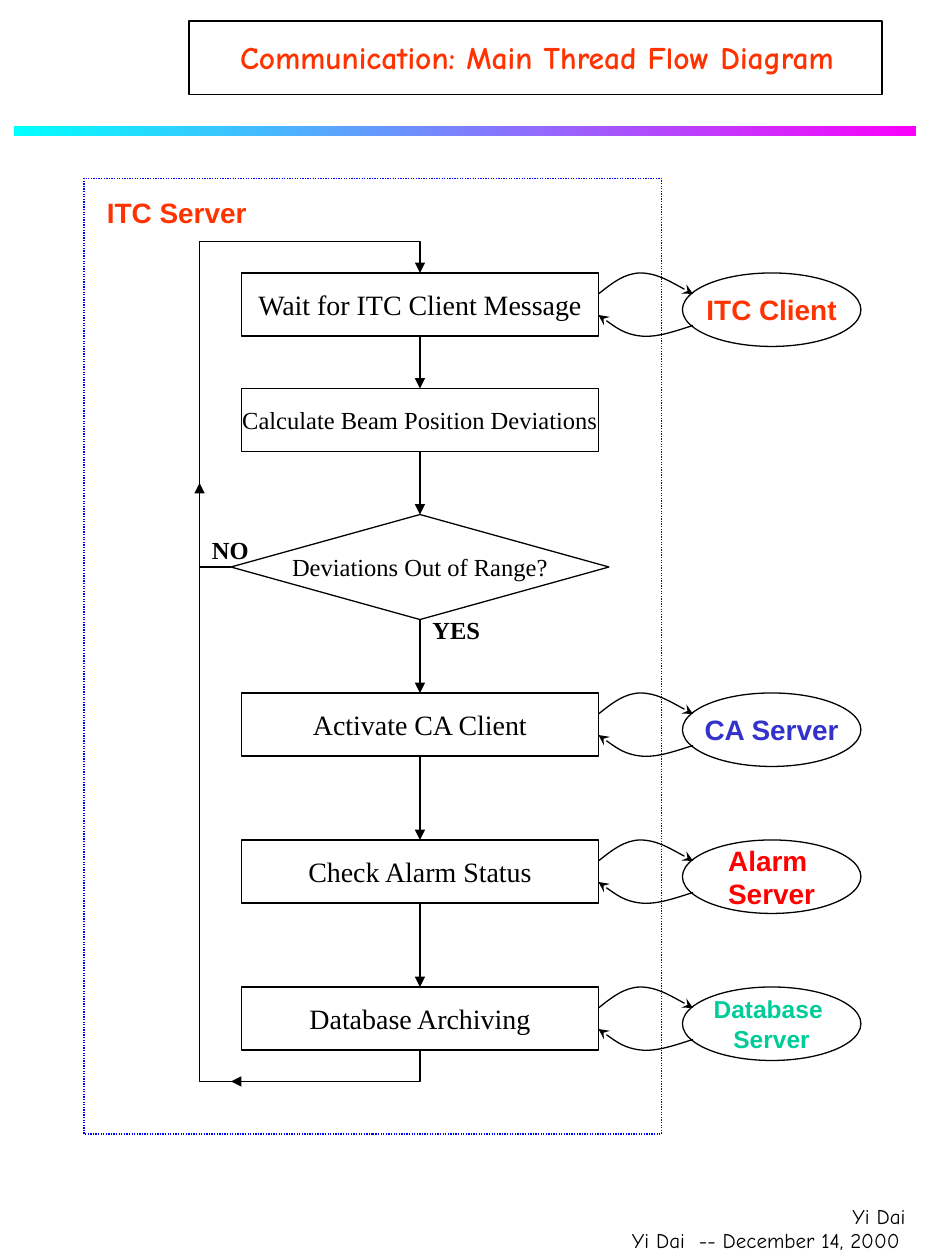
import lxml.etree
import pptx
import pptx.dml.color
import pptx.enum.dml
import pptx.enum.shapes
import pptx.enum.text
import pptx.oxml.ns
import pptx.util

Pt = pptx.util.Pt
qn = pptx.oxml.ns.qn
SHAPES = pptx.enum.shapes.MSO_SHAPE
ALIGN = pptx.enum.text.PP_ALIGN
ANCHOR = pptx.enum.text.MSO_ANCHOR

SERIF, SANS, COMIC = "Times New Roman", "Arial", "Comic Neue"
BLACK, ORANGE = "000000", "FF3300"
STEP_LEFT, STEP_WIDTH, STEP_HEIGHT = 138, 204, 36
STEP_RIGHT = STEP_LEFT + STEP_WIDTH
CENTER = STEP_LEFT + STEP_WIDTH / 2
LOOP_LEFT, LOOP_TOP, LOOP_BOTTOM = 114, 138, 618

# Offsets from the top right corner of a step: end points and Bezier controls
REQUEST = [(0, 12), (7.5, 6), (15, 0), (24, 0), (33, 0), (43, 6), (54, 12)]
REPLY = [(0, 24), (7.5, 29.5), (15, 35), (24, 36), (33, 37), (43, 33.5), (54, 30)]

# top, text, text size
STEPS = [
    (156, "Wait for ITC Client Message", 16),
    (222, "Calculate Beam Position Deviations", 14),
    (396, "Activate CA Client", 16),
    (480, "Check Alarm Status", 16),
    (564, "Database Archiving", 16),
]
# top, text, text size, colour
PARTNERS = [
    (156, "ITC Client", 16, ORANGE),
    (396, "CA Server", 16, "3333CC"),
    (480, "Alarm \nServer", 16, "FF0000"),
    (564, "Database \nServer", 14, "00CC99"),
]


def rgb(value):
    return pptx.dml.color.RGBColor.from_string(value)


def write(shape, text, size, font=SERIF, color=BLACK, bold=False,
          align=ALIGN.LEFT, anchor=ANCHOR.TOP, wrap=False):
    frame = shape.text_frame
    frame.text = text
    frame.word_wrap = wrap
    frame.vertical_anchor = anchor
    frame.margin_left = frame.margin_right = Pt(7.2)
    frame.margin_top = frame.margin_bottom = Pt(3.6)
    for paragraph in frame.paragraphs:
        paragraph.alignment = align
        paragraph.font.name = font
        paragraph.font.size = Pt(size)
        paragraph.font.bold = bold
        paragraph.font.color.rgb = rgb(color)


def add_label(slide, left, top, width, height, text, size, **style):
    box = slide.shapes.add_textbox(Pt(left), Pt(top), Pt(width), Pt(height))
    write(box, text, size, **style)


def style_line(shape, color=BLACK, width=0.75):
    shape.line.color.rgb = rgb(color)
    shape.line.width = Pt(width)


def add_outline(slide, kind, left, top, width, height, color=BLACK, line_width=0.75):
    shape = slide.shapes.add_shape(kind, Pt(left), Pt(top), Pt(width), Pt(height))
    shape.shadow.inherit = False
    shape.fill.background()
    style_line(shape, color, line_width)
    return shape


def add_node(slide, kind, left, top, width, height, text, size, **style):
    node = add_outline(slide, kind, left, top, width, height)
    write(node, text, size, align=ALIGN.CENTER, anchor=ANCHOR.MIDDLE, **style)
    return node


def add_arrowhead(shape, end="tailEnd", kind="triangle"):
    line = shape.element.spPr.find(qn("a:ln"))
    lxml.etree.SubElement(line, qn("a:" + end), type=kind)


def add_arrow(slide, start, finish):
    (x1, y1), (x2, y2) = start, finish
    straight = pptx.enum.shapes.MSO_CONNECTOR.STRAIGHT
    arrow = slide.shapes.add_connector(straight, Pt(x1), Pt(y1), Pt(x2), Pt(y2))
    style_line(arrow)
    add_arrowhead(arrow)
    lxml.etree.SubElement(arrow.element.spPr, qn("a:effectLst"))
    return arrow


def join_steps(slide, upper, lower):
    bottom = upper.top.pt + upper.height.pt
    arrow = add_arrow(slide, (CENTER, bottom), (CENTER, lower.top.pt))
    arrow.begin_connect(upper, 2)
    arrow.end_connect(lower, 0)


def add_path(slide, points):
    first, *others = [(Pt(x), Pt(y)) for x, y in points]
    builder = slide.shapes.build_freeform(*first)
    builder.add_line_segments(others, close=False)
    shape = builder.convert_to_shape()
    shape.shadow.inherit = False
    shape.fill.background()
    style_line(shape)
    return shape


def add_curve(slide, top, offsets, end):
    """Draw a path whose segments, three by three, become Bezier curves."""
    shape = add_path(slide, [(STEP_RIGHT + x, top + y) for x, y in offsets])
    outline = next(shape.element.iter(qn("a:path")))
    segments = outline.findall(qn("a:lnTo"))
    for index in range(0, len(segments), 3):
        curve = lxml.etree.SubElement(outline, qn("a:cubicBezTo"))
        for segment in segments[index:index + 3]:
            curve.append(segment[0])
            outline.remove(segment)
    add_arrowhead(shape, end, "stealth")


def add_heading(slide):
    title = slide.shapes.title
    title.left, title.top, title.width, title.height = Pt(130), Pt(18), Pt(355), Pt(29)
    write(title, "Communication: Main Thread Flow Diagram", 18,
          font=COMIC, color=ORANGE, bold=True)
    add_outline(slide, SHAPES.RECTANGLE, 108, 12, 396, 42, line_width=1)

    band = add_outline(slide, SHAPES.RECTANGLE, 8, 72, 515.5, 6)
    band.line.fill.background()
    band.fill.gradient()
    band.fill.gradient_angle = 0
    for stop, color in zip(band.fill.gradient_stops, ("00FFFE", "FA00FA")):
        stop.color.rgb = rgb(color)


def add_flow(slide):
    steps = [add_node(slide, SHAPES.RECTANGLE, STEP_LEFT, top, STEP_WIDTH,
                      STEP_HEIGHT, text, size) for top, text, size in STEPS]
    decision = add_node(slide, SHAPES.DIAMOND, 132, 294, 216, 60,
                        "Deviations Out of Range?", 14)
    chain = steps[:2] + [decision] + steps[2:]
    for upper, lower in zip(chain, chain[1:]):
        join_steps(slide, upper, lower)

    restart = [(132, 324), (LOOP_LEFT, 324), (LOOP_LEFT, LOOP_TOP),
               (CENTER, LOOP_TOP), (CENTER, 156)]
    finish = [(CENTER, 600), (CENTER, LOOP_BOTTOM), (LOOP_LEFT, LOOP_BOTTOM),
              (LOOP_LEFT, 276)]
    for points in (restart, finish):
        add_arrowhead(add_path(slide, points))
    add_arrow(slide, (CENTER, LOOP_BOTTOM), (132, LOOP_BOTTOM))

    add_label(slide, 240, 348, 44, 24, "YES", 14, bold=True)
    add_label(slide, 114, 302, 40, 24, "NO", 14, bold=True)


def add_partners(slide):
    for top, text, size, color in PARTNERS:
        add_node(slide, SHAPES.OVAL, 390, top, 102, 42, text, size,
                 font=SANS, color=color, bold=True)
        add_curve(slide, top, REQUEST, "tailEnd")
        add_curve(slide, top, REPLY, "headEnd")


def main():
    presentation = pptx.Presentation()
    presentation.slide_width, presentation.slide_height = Pt(540), Pt(720)
    slide = presentation.slides.add_slide(presentation.slide_layouts[5])

    add_heading(slide)
    server = add_outline(slide, SHAPES.RECTANGLE, 48, 102, 330, 546, color="0000FF")
    server.line.dash_style = pptx.enum.dml.MSO_LINE.ROUND_DOT
    add_label(slide, 54, 108, 96, 27, "ITC Server", 16,
              font=SANS, color=ORANGE, bold=True)
    add_flow(slide)
    add_partners(slide)
    add_label(slide, 480, 684, 48, 22, "Yi Dai", 12, font=COMIC)
    add_label(slide, 354, 698, 186, 22, "Yi Dai  -- December 14, 2000", 12,
              font=COMIC, wrap=True)
    presentation.save("out.pptx")


if __name__ == "__main__":
    main()
